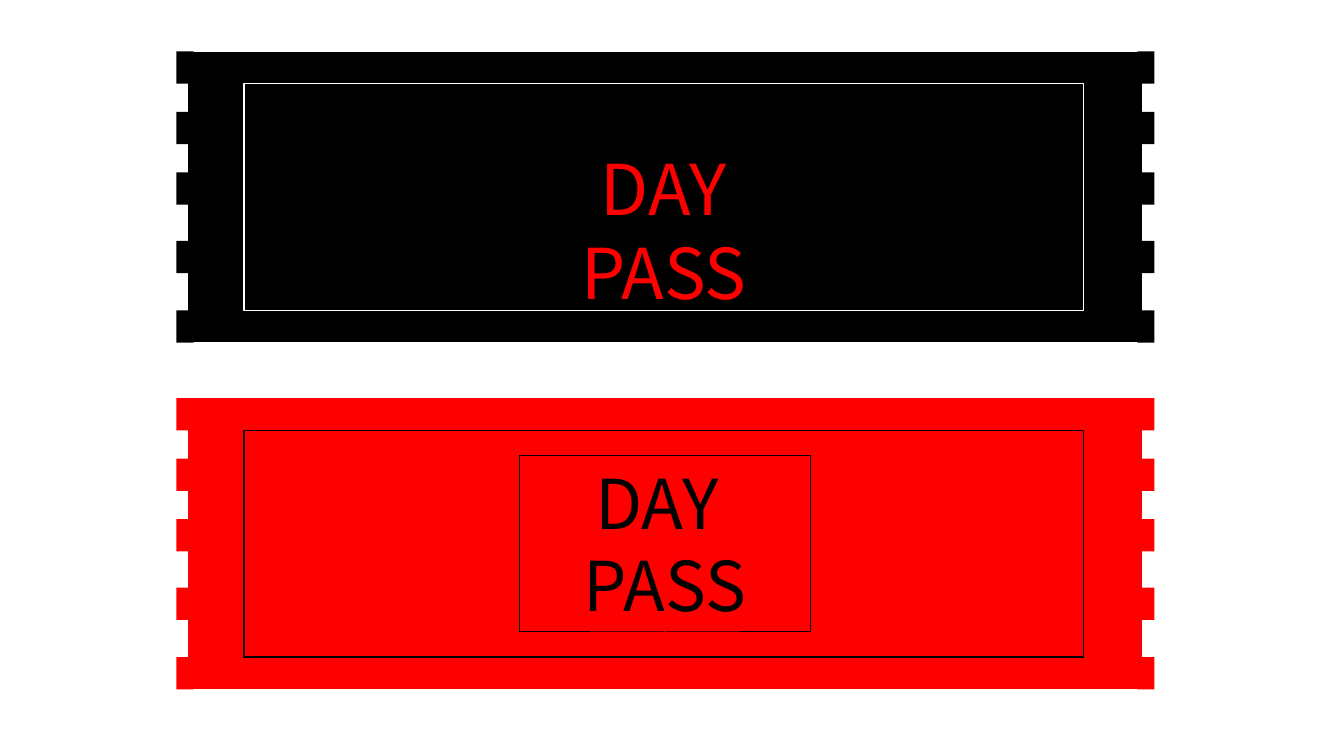
import pptx
import pptx.dml.color
import pptx.enum.shapes
import pptx.enum.text
import pptx.util

Inches, Pt = pptx.util.Inches, pptx.util.Pt
BLACK, RED, WHITE = "000000", "FF0000", "FFFFFF"
FONT = "Noto Sans CJK KR"

TICKET_LEFT, TICKET_WIDTH, TICKET_HEIGHT = 1.87, 9.45, 2.87
TOOTH_WIDTH, TOOTH_HEIGHT = 0.17, 0.32
TOOTH_COLUMNS = (1.75, 11.28)
TOOTH_ROWS = (-0.01, 0.59, 1.19, 1.87, 2.56)  # measured from the ticket's top

deck = pptx.Presentation()
deck.slide_width, deck.slide_height = Inches(13.33), Inches(7.5)
slide = deck.slides.add_slide(deck.slide_layouts[6])


def paint(shape, fill=None, line=None, weight=1):
    """Set fill and outline; None leaves either one off."""
    for part, color in ((shape.fill, fill), (shape.line.fill, line)):
        if color is None:
            part.background()
        else:
            part.solid()
            part.fore_color.rgb = pptx.dml.color.RGBColor.from_string(color)
    if line:
        shape.line.width = Pt(weight)


def add_box(left, top, width, height, fill=None, line=None):
    box = slide.shapes.add_shape(
        pptx.enum.shapes.MSO_SHAPE.RECTANGLE,
        Inches(left), Inches(top), Inches(width), Inches(height))
    box.shadow.inherit = False
    paint(box, fill, line)


# Ticket top, ticket colour, frame fill, frame line,
# label (left, top, height), label lines, text size, text colour, label fill and line
tickets = (
    (0.52, BLACK, None, WHITE, (5.14, 1.39, 0.94), ("DAY PASS",), 50, RED, None, None),
    (3.96, RED, RED, BLACK, (5.15, 4.52, 1.75), ("DAY ", "PASS"), 49, BLACK, RED, BLACK),
)

for (top, color, frame_fill, frame_line, (label_left, label_top, label_height),
     lines, size, text_color, label_fill, label_line) in tickets:
    add_box(TICKET_LEFT, top, TICKET_WIDTH, TICKET_HEIGHT, color, color)
    for column in TOOTH_COLUMNS:
        for row in TOOTH_ROWS:
            add_box(column, top + row, TOOTH_WIDTH, TOOTH_HEIGHT, color)
    add_box(2.42, top + 0.31, 8.33, 2.25, frame_fill, frame_line)

    label = slide.shapes.add_textbox(
        Inches(label_left), Inches(label_top), Inches(2.89), Inches(label_height))
    paint(label, label_fill, label_line, 0.75)
    label.text_frame.word_wrap = True
    label.text_frame.auto_size = pptx.enum.text.MSO_AUTO_SIZE.SHAPE_TO_FIT_TEXT
    label.text_frame.text = "\n".join(lines)
    for paragraph in label.text_frame.paragraphs:
        paragraph.alignment = pptx.enum.text.PP_ALIGN.CENTER
        paragraph.font.name = FONT
        paragraph.font.size = Pt(size)
        paragraph.font.color.rgb = pptx.dml.color.RGBColor.from_string(text_color)

deck.save("out.pptx")
